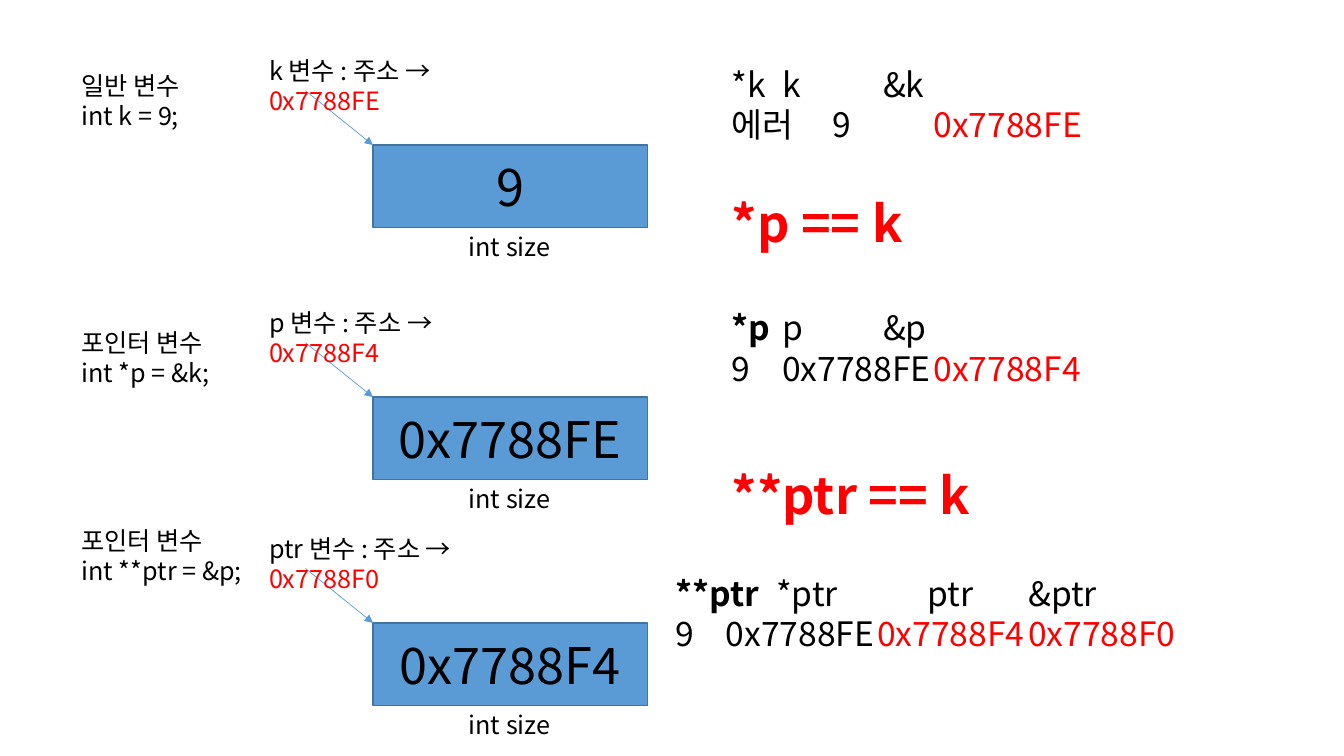
import pptx
import pptx.util
import pptx.dml.color
import pptx.enum.shapes
import pptx.enum.text
import pptx.oxml

PX = 9144  # 100 px to the inch
FONT = "Noto Sans CJK KR"
COLORS = {"text": "000000", "address": "FF0000", "box": "5B9BD5", "edge": "43739E"}
ANCHOR = pptx.enum.text.MSO_ANCHOR
ALIGN = pptx.enum.text.PP_ALIGN
AUTO = pptx.enum.text.MSO_AUTO_SIZE


def px(*values):
    return [pptx.util.Emu(v * PX) for v in values]


def rgb(name):
    return pptx.dml.color.RGBColor.from_string(COLORS[name])


def child(parent, tag, **attrs):
    el = pptx.oxml.parse_xml(
        f'<a:{tag} xmlns:a="http://schemas.openxmlformats.org/drawingml/2006/main"/>')
    for key, value in attrs.items():
        el.set(key, value)
    parent.append(el)


def write(tf, lines, size, frame, align=ALIGN.LEFT):
    """Each line is a list of (text, colour name, bold) runs."""
    for key, value in frame.items():
        setattr(tf, key, value)
    for i, line in enumerate(lines):
        p = tf.add_paragraph() if i else tf.paragraphs[0]
        p.alignment = align
        for text, color, bold in line:
            r = p.add_run()
            r.text = text
            fmt = {"size": pptx.util.Pt(size), "name": FONT, "bold": bold}
            for key, value in fmt.items():
                setattr(r.font, key, value)
            r.font.color.rgb = rgb(color)
            child(r._r.get_or_add_rPr(), "ea", typeface=FONT)


def add_text(s, box, lines, size, wrap=False):
    sp = s.shapes.add_textbox(*px(*box))
    write(sp.text_frame, lines, size,
          {"word_wrap": wrap, "auto_size": AUTO.SHAPE_TO_FIT_TEXT})


def plain(text, color="text"):
    return (text, color, False)


def add_variable(s, x, y, label_y, label_w, label, name, address, value):
    """Declaration, address, arrow and memory cell of one variable."""
    add_text(s, (x, label_y, label_w, 71), [[plain(t)] for t in label], 18)

    # Memory cell and its size
    sp = s.shapes.add_shape(pptx.enum.shapes.MSO_SHAPE.RECTANGLE,
                            *px(x + 299, y + 94, 272, 82))
    sp.shadow.inherit = False
    sp.fill.solid()
    sp.fill.fore_color.rgb = rgb("box")
    sp.line.color.rgb = rgb("edge")
    sp.line.width = pptx.util.Pt(1)
    write(sp.text_frame, [[plain(value)]], 36,
          {"word_wrap": True, "vertical_anchor": ANCHOR.MIDDLE}, ALIGN.CENTER)
    add_text(s, (x + 384, y + 175, 101, 40), [[plain("int size")]], 18)

    # Arrow from the address to the cell
    cn = s.shapes.add_connector(pptx.enum.shapes.MSO_CONNECTOR.STRAIGHT,
                                *px(x + 232, y + 40, x + 299, y + 94))
    cn.line.color.rgb = rgb("box")
    cn.line.width = pptx.util.Pt(0.5)
    child(cn.line._get_or_add_ln(), "tailEnd", type="triangle")
    child(cn._element.spPr, "effectLst")

    add_text(s, (x + 186, y, 290, 71),
             [[plain(f"{name} 변수 : 주소 → "), plain(address, "address")]], 18, True)


def add_values(s, box, head, values, wrap=False):
    """Expressions on the first line, their values on the second."""
    add_text(s, box, [head, values], 24, wrap)


def add_rule(s, box, text):
    add_text(s, box, [[(text, "address", True)]], 36)


def build(s):
    # Memory diagrams on the left
    variables = [
        (50, 65, 130, ("일반 변수", "int k = 9;"), "k", "0x7788FE", "9"),
        (300, 320, 160, ("포인터 변수", "int *p = &k;"), "p", "0x7788F4", "0x7788FE"),
        (524, 516, 190, ("포인터 변수", "int **ptr = &p;"), "ptr", "0x7788F0", "0x7788F4"),
    ]
    for variable in variables:
        add_variable(s, 71, *variable)

    # Values of each expression on the right
    add_values(s, (716, 58, 464, 131), [plain("*k\tk\t\t&k")],
               [plain("에러\t9\t\t"), plain("0x7788FE", "address")], True)
    add_values(s, (716, 300, 467, 91), [("*p", "text", True), plain("\tp\t\t&p")],
               [plain("9\t0x7788FE\t"), plain("0x7788F4", "address")])
    add_values(s, (660, 563, 669, 91),
               [("**ptr", "text", True), plain("\t*ptr\t\tptr\t\t&ptr")],
               [plain("9\t0x7788FE\t"), plain("0x7788F4\t0x7788F0", "address")])

    # Rules
    add_rule(s, (716, 186, 211, 71), "*p == k")
    add_rule(s, (716, 455, 273, 71), "**ptr == k")


def main():
    prs = pptx.Presentation()
    prs.slide_width, prs.slide_height = px(1333, 750)
    build(prs.slides.add_slide(prs.slide_layouts[6]))
    prs.save("out.pptx")


if __name__ == "__main__":
    main()
